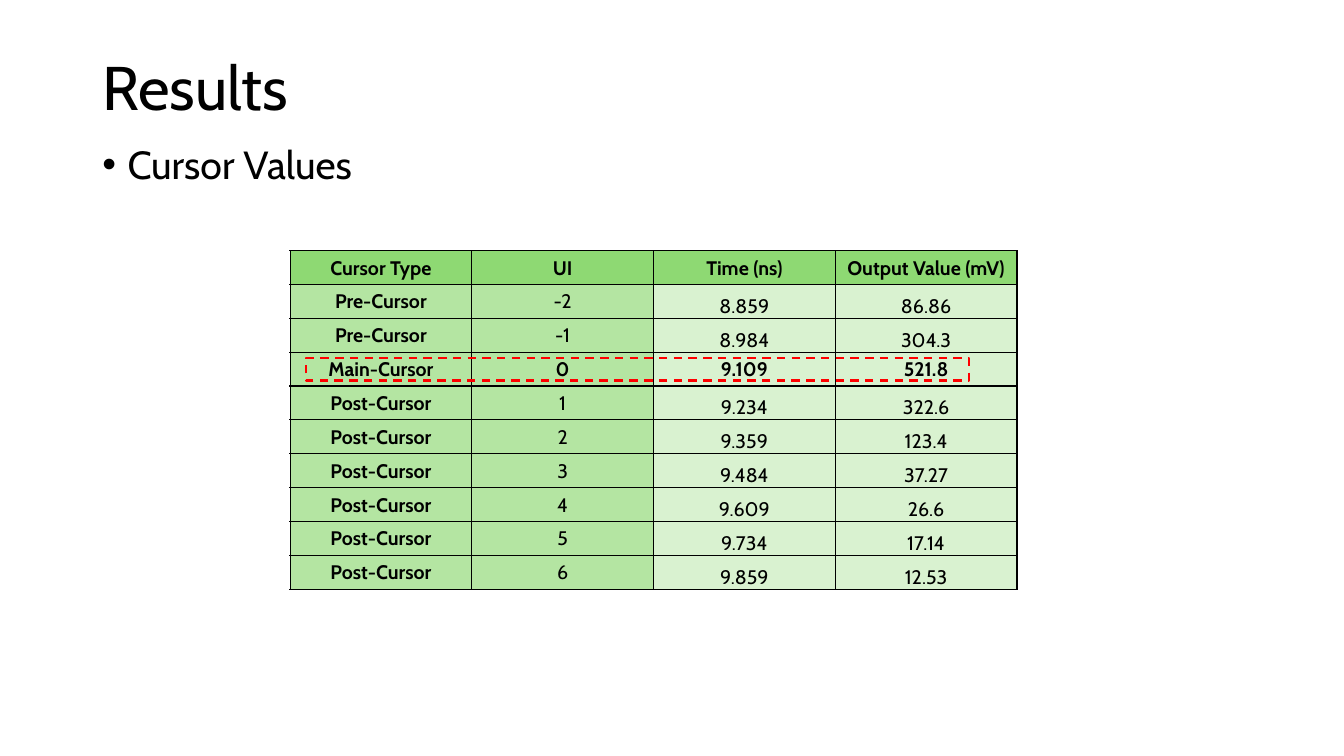
import lxml.etree
import pptx
import pptx.dml.color
import pptx.enum.dml
import pptx.enum.shapes
import pptx.enum.text
import pptx.oxml.ns
import pptx.util

Pt = pptx.util.Pt
RGBColor = pptx.dml.color.RGBColor
Anchor = pptx.enum.text.MSO_ANCHOR
Align = pptx.enum.text.PP_ALIGN
qn = pptx.oxml.ns.qn

BLACK = RGBColor(0x00, 0x00, 0x00)
RED = RGBColor(0xFF, 0x00, 0x00)
HEADER_GREEN = RGBColor(0x8E, 0xD9, 0x73)
LABEL_GREEN = RGBColor(0xB4, 0xE5, 0xA2)
VALUE_GREEN = RGBColor(0xD9, 0xF2, 0xD0)

HEADINGS = ("Cursor Type", "UI", "Time (ns)", "Output Value (mV)")
CURSORS = (
    ("Pre-Cursor", "-2", "8.859", "86.86"),
    ("Pre-Cursor", "-1", "8.984", "304.3"),
    ("Main-Cursor", "0", "9.109", "521.8"),
    ("Post-Cursor", "1", "9.234", "322.6"),
    ("Post-Cursor", "2", "9.359", "123.4"),
    ("Post-Cursor", "3", "9.484", "37.27"),
    ("Post-Cursor", "4", "9.609", "26.6"),
    ("Post-Cursor", "5", "9.734", "17.14"),
    ("Post-Cursor", "6", "9.859", "12.53"),
)


class ResultsPage:
    font_name = "Cabin"

    def __init__(self, deck):
        self.page = deck.slides.add_slide(deck.slide_layouts[1])

    def set_text(self, frame, text, size, align, bold=False):
        frame.text = text
        para = frame.paragraphs[0]
        para.alignment = align
        font = para.runs[0].font
        font.name = self.font_name
        font.size = Pt(size)
        font.bold = bold
        font.color.rgb = BLACK
        return para

    def fill_placeholder(self, index, text, size, area, anchor):
        box = self.page.placeholders[index]
        box.left, box.top, box.width, box.height = map(Pt, area)
        frame = box.text_frame
        frame.auto_size = pptx.enum.text.MSO_AUTO_SIZE.NONE
        frame.vertical_anchor = anchor
        para = self.set_text(frame, text, size, Align.LEFT)
        para.line_spacing = 0.9
        return para

    def title(self, text):
        para = self.fill_placeholder(0, text, 44, (66, 28.75, 828, 71.5), Anchor.MIDDLE)
        para.space_before = Pt(0)

    def bullet(self, text):
        para = self.fill_placeholder(1, text, 28, (66, 100.25, 828, 386.5), Anchor.TOP)
        para.space_before = Pt(10)
        properties = para._p.get_or_add_pPr()
        properties.set("marL", str(Pt(18)))
        properties.set("indent", str(Pt(-18)))

    def border(self, cell):
        properties = cell._tc.get_or_add_tcPr()
        for side in ("a:lnL", "a:lnR", "a:lnT", "a:lnB"):
            line = lxml.etree.SubElement(properties, qn(side), w=str(Pt(1)))
            paint = lxml.etree.SubElement(line, qn("a:solidFill"))
            lxml.etree.SubElement(paint, qn("a:srgbClr"), val=str(BLACK))

    def cell(self, cell, text, fill, anchor, bold):
        self.set_text(cell.text_frame, text, 14, Align.CENTER, bold)
        cell.vertical_anchor = anchor
        cell.margin_left = cell.margin_right = cell.margin_top = Pt(0.7)
        cell.margin_bottom = Pt(0)
        self.border(cell)
        cell.fill.solid()
        cell.fill.fore_color.rgb = fill

    def cursor_table(self, left, top, column_width, row_height):
        rows = (HEADINGS,) + CURSORS
        row_count, column_count = len(rows), len(HEADINGS)
        table = self.page.shapes.add_table(
            row_count, column_count, Pt(left), Pt(top),
            Pt(column_width * column_count), Pt(row_height * row_count)).table
        for column in table.columns:
            column.width = Pt(column_width)
        for row_index, values in enumerate(rows):
            table.rows[row_index].height = Pt(row_height)
            is_header = row_index == 0
            is_strong = is_header or values[0] == "Main-Cursor"
            for column_index, text in enumerate(values):
                is_value = column_index >= 2
                fill = HEADER_GREEN if is_header else VALUE_GREEN if is_value else LABEL_GREEN
                anchor = Anchor.BOTTOM if is_value and not is_strong else Anchor.MIDDLE
                self.cell(table.cell(row_index, column_index), text, fill, anchor,
                          is_strong or column_index == 0)

    def highlight(self, left, top, width, height):
        box = self.page.shapes.add_shape(
            pptx.enum.shapes.MSO_SHAPE.RECTANGLE, Pt(left), Pt(top), Pt(width), Pt(height))
        box.shadow.inherit = False
        box.fill.background()
        box.line.color.rgb = RED
        box.line.width = Pt(1.5)
        box.line.dash_style = pptx.enum.dml.MSO_LINE.DASH


def main():
    deck = pptx.Presentation()
    deck.slide_width, deck.slide_height = Pt(960), Pt(540)
    results = ResultsPage(deck)
    results.title("Results")
    results.bullet("Cursor Values")
    results.cursor_table(207.2, 179, 129.8, 24.18)
    results.highlight(218.5, 256, 473.5, 15.8)
    deck.save("out.pptx")


if __name__ == "__main__":
    main()
